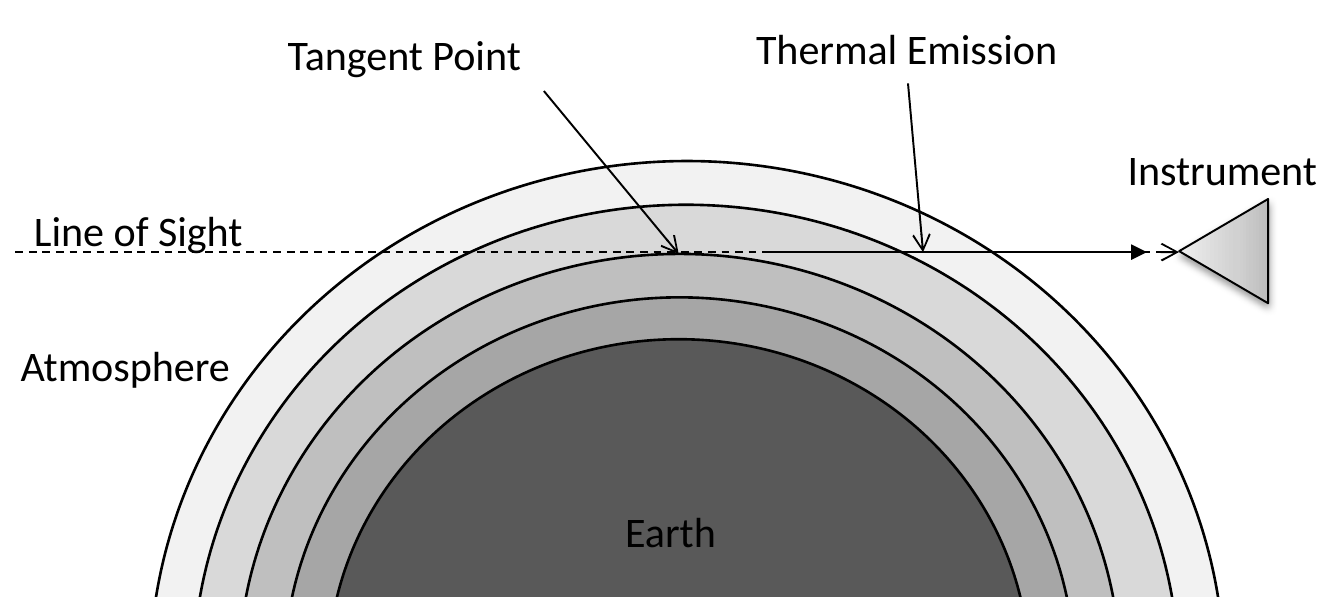
from lxml import etree
from pptx import Presentation
from pptx import util as u
from pptx.dml import color as col
from pptx.enum import dml, shapes, text
from pptx.oxml import ns

INK = "000000"
FONT = {"name": "Calibri", "size": u.Pt(16)}

# Shells from the outside in: left, top, width, height, grey
SHELLS = [
    (56.9, 61.2, 408.2, 391, "F2F2F2"),
    (73.4, 77.8, 374.4, 357.1, "D9D9D9"),
    (90.7, 96.5, 334.8, 317.5, "BFBFBF"),
    (108, 113, 300.2, 283.7, "A6A6A6"),
    (124.6, 128.9, 266.4, 252.7, "595959"),
]

# Labels: text, left, top, width
LABELS = [
    ("Earth", 230.4, 188.6, 49.7),
    ("Atmosphere", 0.7, 125.3, 95),
    ("Line of Sight", 5.8, 74.2, 95),
    ("Instrument", 421.2, 51.1, 87.1),
    ("Tangent Point", 102.2, 7.2, 104.4),
    ("Thermal Emission", 280.1, 5, 130.3),
]

# Arrows: start, end, head, dashed
SIGHT = 95.8
ARROWS = [
    ((5.8, SIGHT), (447.8, SIGHT), "arrow", True),
    ((290.2, SIGHT), (435.6, SIGHT), "triangle", False),
    ((206.6, 34.6), (257.8, 96.5), "arrow", False),
    ((344.9, 31.7), (350.6, SIGHT), "arrow", False),
]


def rgb(code):
    return col.RGBColor.from_string(code)


def apply(obj, form):
    for key, val in form.items():
        setattr(obj, key, val)


def node(root, tag, **attrs):
    return etree.SubElement(root, ns.qn(tag), attrs)


def outline(item, width):
    item.line.color.rgb = rgb(INK)
    item.line.width = u.Pt(width)


def shape(slide, kind, box, width):
    item = slide.shapes.add_shape(kind, *map(u.Pt, box))
    item.shadow.inherit = False
    outline(item, width)
    return item


def shell(slide, *box, grey):
    item = shape(slide, shapes.MSO_SHAPE.OVAL, box, 1)
    item.fill.solid()
    item.fill.fore_color.rgb = rgb(grey)


def sensor(slide, *box):
    item = shape(slide, shapes.MSO_SHAPE.ISOSCELES_TRIANGLE, box, 0.75)
    item.rotation = 270
    # Three-stop gradient, light at the tip
    item.fill.gradient()
    item.fill.gradient_angle = 90
    props = item.element.spPr
    stops = props.find(".//" + ns.qn("a:gsLst"))
    stops.clear()
    for pos, code in ((0, "BDBDBD"), (35, "D1D1D1"), (100, "EEEEEE")):
        stop = node(stops, "a:gs", pos=str(pos * 1000))
        node(stop, "a:srgbClr", val=code)
    # Soft shadow below
    cast = node(props.find(ns.qn("a:effectLst")), "a:outerShdw",
                blurRad=str(u.Pt(3.1)), dist=str(u.Pt(1.6)),
                dir="5400000", rotWithShape="0")
    shade = node(cast, "a:srgbClr", val=INK)
    node(shade, "a:alpha", val="38000")


def arrow(slide, start, end, head, dashed):
    item = slide.shapes.add_connector(
        shapes.MSO_CONNECTOR.STRAIGHT, *map(u.Pt, start + end))
    outline(item, 0.75)
    if dashed:
        item.line.dash_style = dml.MSO_LINE.DASH
    props = item.element.spPr
    node(props.find(ns.qn("a:ln")), "a:tailEnd", type=head)
    node(props, "a:effectLst")


def label(slide, words, left, top, width):
    item = slide.shapes.add_textbox(*map(u.Pt, (left, top, width, 26.6)))
    frame = item.text_frame
    apply(frame, {"word_wrap": False,
                  "auto_size": text.MSO_AUTO_SIZE.SHAPE_TO_FIT_TEXT})
    run = frame.paragraphs[0].add_run()
    run.text = words
    apply(run.font, FONT)
    run.font.color.rgb = rgb(INK)


def main():
    deck = Presentation()
    apply(deck, {"slide_width": u.Pt(510.5), "slide_height": u.Pt(226.8)})
    slide = deck.slides.add_slide(deck.slide_layouts[6])
    # Earth and its atmosphere
    for *box, grey in SHELLS:
        shell(slide, *box, grey=grey)
    # Instrument and rays
    sensor(slide, 445, 78.5, 39.6, 33.8)
    for row in ARROWS:
        arrow(slide, *row)
    # Labels
    for row in LABELS:
        label(slide, *row)
    deck.save("out.pptx")


main()
